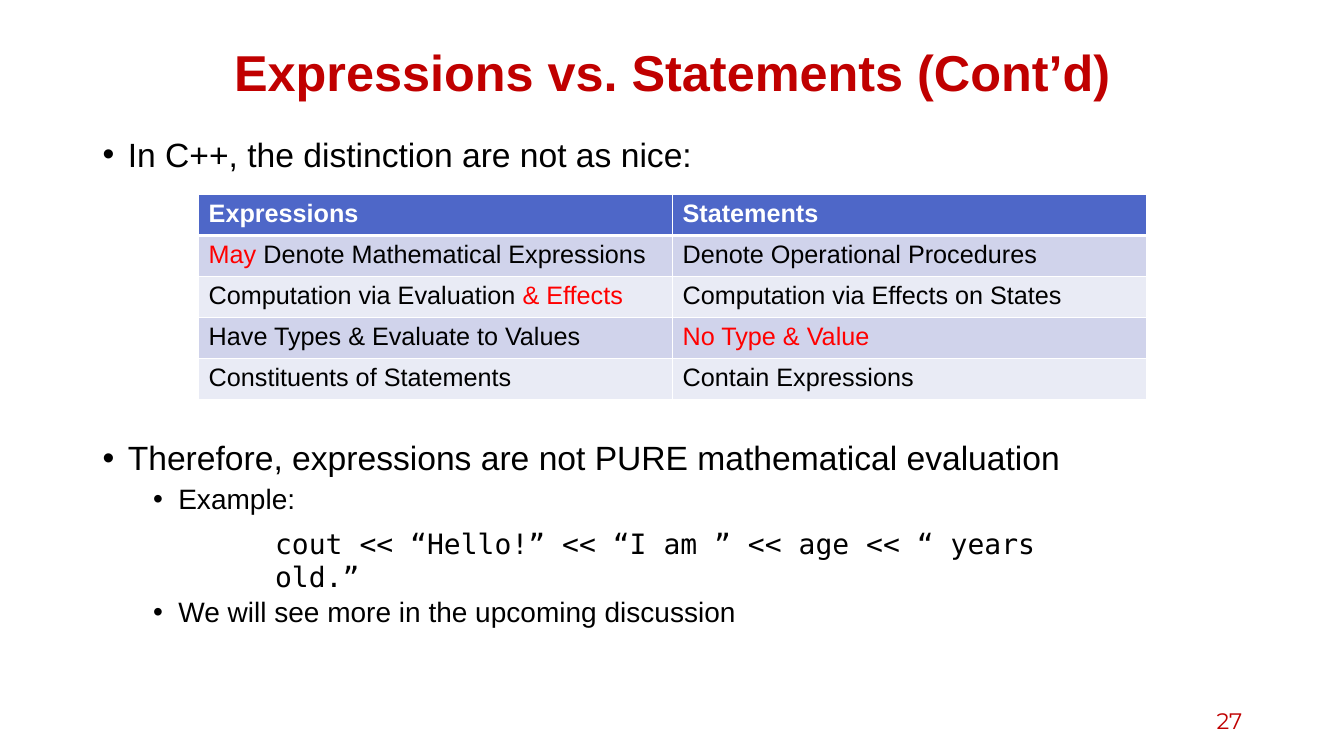
from dataclasses import dataclass

from lxml.etree import SubElement
from pptx import Presentation
from pptx.dml.color import RGBColor as RGB
from pptx.enum.text import MSO_ANCHOR as ANCHOR, MSO_AUTO_SIZE as AUTO, PP_ALIGN as ALIGN
from pptx.oxml.ns import qn
from pptx.util import Inches, Pt

COLORS = {
    "title": "C00000", "text": "000000", "accent": "FF0000", "white": "FFFFFF",
    "header": "4E67C8", "band_dark": "D0D3EB", "band_light": "E9EBF5",
}
SANS, MONO, NUMBER = "Arial", "DejaVu Sans Mono", "Montserrat"


@dataclass
class Run:
    text: str
    size: float = 18
    color: str = "text"
    bold: bool = False
    font: str = SANS


@dataclass
class Para:
    runs: list[Run]
    fmt: dict
    level: int = 0
    bullet: bool = False


@dataclass
class Box:
    left: float
    top: float
    width: float
    height: float
    paras: list[Para]
    fmt: dict


def body_para(text: str, level: int, before: float) -> Para:
    fmt = {"line_spacing": 0.9, "space_before": Pt(before)}
    return Para([Run(text, 20 if level else 24)], fmt, level, True)


# Space before the second and last body lines leaves room for the table and the code.
BODY = [
    body_para("In C++, the distinction are not as nice:", 0, 10),
    body_para("Therefore, expressions are not PURE mathematical evaluation", 0, 191),
    body_para("Example:", 1, 5),
    body_para("We will see more in the upcoming discussion", 1, 59.3),
]
TITLE = Run("Expressions vs. Statements (Cont’d)", 36, "title", True)
CODE = Run("cout << “Hello!” << “I am ” << age << “ years old.”", 20, font=MONO)
BOXES = [
    Box(0.92, 0.4, 11.5, 0.7,
        [Para([TITLE], {"alignment": ALIGN.CENTER, "line_spacing": 0.9})],
        {"vertical_anchor": ANCHOR.MIDDLE}),
    Box(0.92, 1.32, 11.5, 5.51, BODY, {}),
    Box(9.42, 6.95, 3, 0.4,
        [Para([Run("27", 16, "title", font=NUMBER)], {"alignment": ALIGN.RIGHT})],
        {"vertical_anchor": ANCHOR.MIDDLE}),
    Box(2.63, 5.17, 8.55, 0.44, [Para([CODE], {"space_before": Pt(2)})],
        {"auto_size": AUTO.SHAPE_TO_FIT_TEXT}),
]
ROWS = [
    [[Run("Expressions", color="white", bold=True)],
     [Run("Statements", color="white", bold=True)]],
    [[Run("May", color="accent"), Run(" Denote Mathematical Expressions")],
     [Run("Denote Operational Procedures")]],
    [[Run("Computation via Evaluation "), Run("& Effects", color="accent")],
     [Run("Computation via Effects on States")]],
    [[Run("Have Types & Evaluate to Values")],
     [Run("No Type & Value", color="accent")]],
    [[Run("Constituents of Statements")], [Run("Contain Expressions")]],
]


def set_attrs(obj, values: dict) -> None:
    for name, value in values.items():
        setattr(obj, name, value)


def add_runs(p, runs: list[Run]) -> None:
    for run in runs:
        r = p.add_run()
        r.text = run.text
        set_attrs(r.font, {"size": Pt(run.size), "name": run.font, "bold": run.bold})
        r.font.color.rgb = RGB.from_string(COLORS[run.color])


def add_bullet(p, level: int) -> None:
    """Give the paragraph a round bullet and a hanging indent for its level."""
    p.level = level
    pPr = p._p.get_or_add_pPr()
    pPr.set("marL", str(Inches(0.25 + 0.5 * level)))
    pPr.set("indent", str(Inches(-0.25)))
    SubElement(pPr, qn("a:buFont")).set("typeface", SANS)
    SubElement(pPr, qn("a:buChar")).set("char", "•")


def add_box(s, box: Box) -> None:
    size = map(Inches, (box.left, box.top, box.width, box.height))
    tf = s.shapes.add_textbox(*size).text_frame
    set_attrs(tf, {"word_wrap": True, **box.fmt})
    for i, para in enumerate(box.paras):
        p = tf.add_paragraph() if i else tf.paragraphs[0]
        set_attrs(p, para.fmt)
        if para.bullet:
            add_bullet(p, para.level)
        add_runs(p, para.runs)


def set_borders(cell, widths: dict[str, float]) -> None:
    """Draw white cell borders; must run before the cell is filled."""
    tcPr = cell._tc.get_or_add_tcPr()
    for side, width in widths.items():
        ln = SubElement(tcPr, qn(f"a:ln{side}"), w=str(Pt(width)))
        fill = SubElement(ln, qn("a:solidFill"))
        SubElement(fill, qn("a:srgbClr")).set("val", COLORS["white"])


def add_comparison(s) -> None:
    frame = s.shapes.add_table(len(ROWS), 2, Inches(1.97), Inches(1.93),
                               Inches(9.4), Inches(2.03))
    for i, row in enumerate(ROWS):
        band = "header" if i == 0 else "band_dark" if i % 2 else "band_light"
        borders = {"L": 1, "R": 1, "T": 3 if i == 1 else 1, "B": 3 if i == 0 else 1}
        for j, runs in enumerate(row):
            cell = frame.table.cell(i, j)
            set_borders(cell, borders)
            cell.fill.solid()
            cell.fill.fore_color.rgb = RGB.from_string(COLORS[band])
            add_runs(cell.text_frame.paragraphs[0], runs)


def main() -> None:
    prs = Presentation()
    set_attrs(prs, {"slide_width": Inches(13.33), "slide_height": Inches(7.5)})
    s = prs.slides.add_slide(prs.slide_layouts[6])
    for box in BOXES:
        add_box(s, box)
    add_comparison(s)
    prs.save("out.pptx")


if __name__ == "__main__":
    main()
